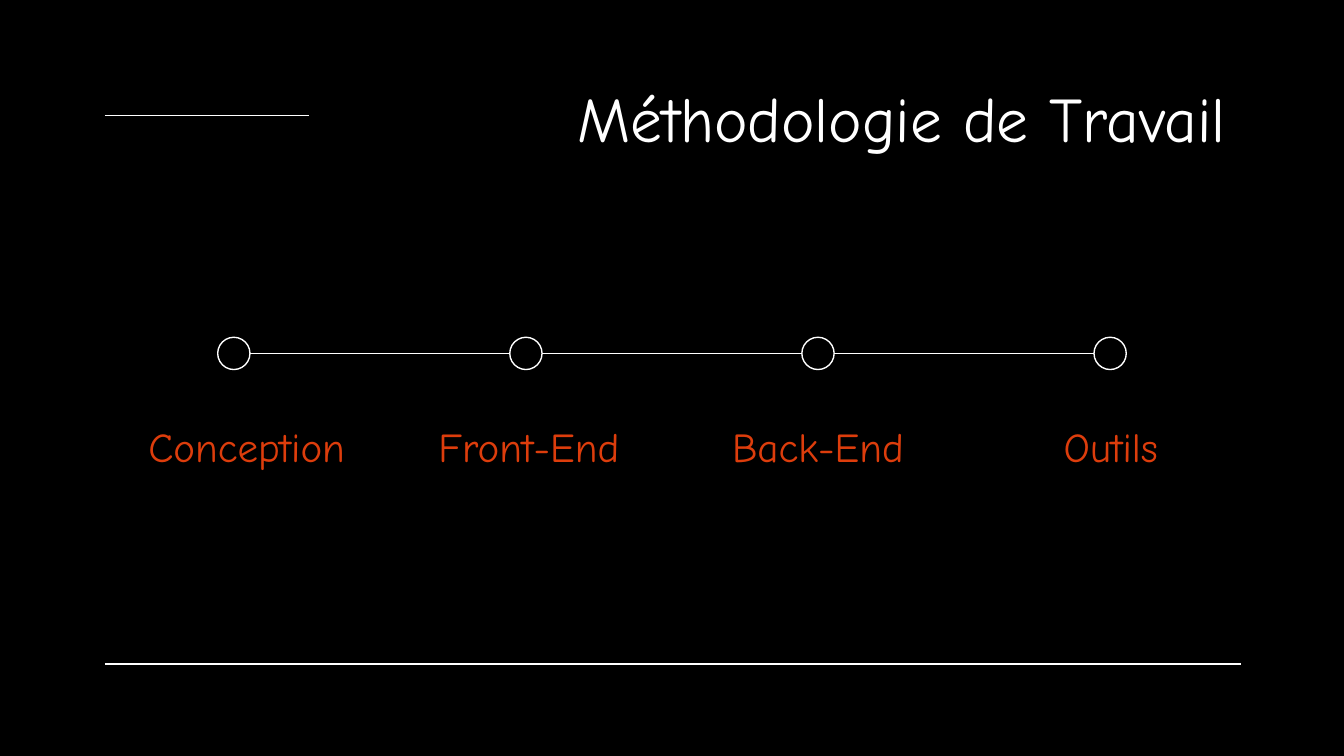
from dataclasses import dataclass

from lxml import etree
from pptx import Presentation
from pptx.dml.color import RGBColor
from pptx.enum.shapes import MSO_CONNECTOR, MSO_SHAPE
from pptx.enum.text import MSO_ANCHOR, PP_ALIGN
from pptx.oxml.ns import qn
from pptx.util import Inches, Pt

STRAIGHT = MSO_CONNECTOR.STRAIGHT
OVAL = MSO_SHAPE.OVAL
TOP, MIDDLE = MSO_ANCHOR.TOP, MSO_ANCHOR.MIDDLE
RIGHT, CENTER = PP_ALIGN.RIGHT, PP_ALIGN.CENTER


@dataclass(frozen=True)
class Theme:
    back: RGBColor = RGBColor(0x00, 0x00, 0x00)
    white: RGBColor = RGBColor(0xFF, 0xFF, 0xFF)
    accent: RGBColor = RGBColor(0xDD, 0x3D, 0x0C)
    font: str = "Comic Neue"
    title: Pt = Pt(34)
    label: Pt = Pt(22)
    stroke: Pt = Pt(0.75)


# Slide in 16:9 format
theme = Theme()
deck = Presentation()
deck.slide_width = Inches(10)
deck.slide_height = Inches(10 * 9 / 16)
slide = deck.slides.add_slide(deck.slide_layouts[6])
slide.background.fill.solid()
slide.background.fill.fore_color.rgb = theme.back


def add_rule(start, end, y):
    rule = slide.shapes.add_connector(
        STRAIGHT, Inches(start), Inches(y), Inches(end), Inches(y))
    rule.line.color.rgb = theme.white
    rule.line.width = theme.stroke
    etree.SubElement(rule._element.spPr, qn("a:effectLst"))


def add_text(text, left, top, width, height, size, color, align, anchor):
    box = slide.shapes.add_textbox(
        Inches(left), Inches(top), Inches(width), Inches(height))
    frame = box.text_frame
    frame.word_wrap = True
    frame.vertical_anchor = anchor
    frame.margin_left = frame.margin_right = Inches(0.1)
    frame.margin_top = frame.margin_bottom = Inches(0.1)
    para = frame.paragraphs[0]
    para.text = text
    para.alignment = align
    para.font.name = theme.font
    para.font.size = size
    para.font.color.rgb = color


# Frame lines and title
add_rule(0.78, 2.3, 0.86)
add_rule(0.78, 9.23, 4.94)
add_text("Méthodologie de Travail", 0.79, 0.49, 8.43, 0.63,
         theme.title, theme.white, RIGHT, TOP)

# Timeline: label, left edge and width of each step
steps = [
    ("Conception", 0.8, 2.07),
    ("Front-End", 2.96, 1.95),
    ("Back-End", 5.14, 1.89),
    ("Outils", 7.32, 1.89),
]
first, last, size, axis = 1.62, 8.14, 0.24, 2.63
pitch = (last - first) / (len(steps) - 1)

for i, (name, left, width) in enumerate(steps):
    add_text(name, left, 2.96, width, 0.72,
             theme.label, theme.accent, CENTER, MIDDLE)

    x = first + i * pitch
    dot = slide.shapes.add_shape(
        OVAL, Inches(x), Inches(axis - size / 2), Inches(size), Inches(size))
    dot.shadow.inherit = False
    dot.fill.background()
    dot.line.color.rgb = theme.white
    dot.line.width = theme.stroke

    # Link from the dot before
    if i:
        add_rule(x - pitch + size, x, axis)

deck.save("out.pptx")
